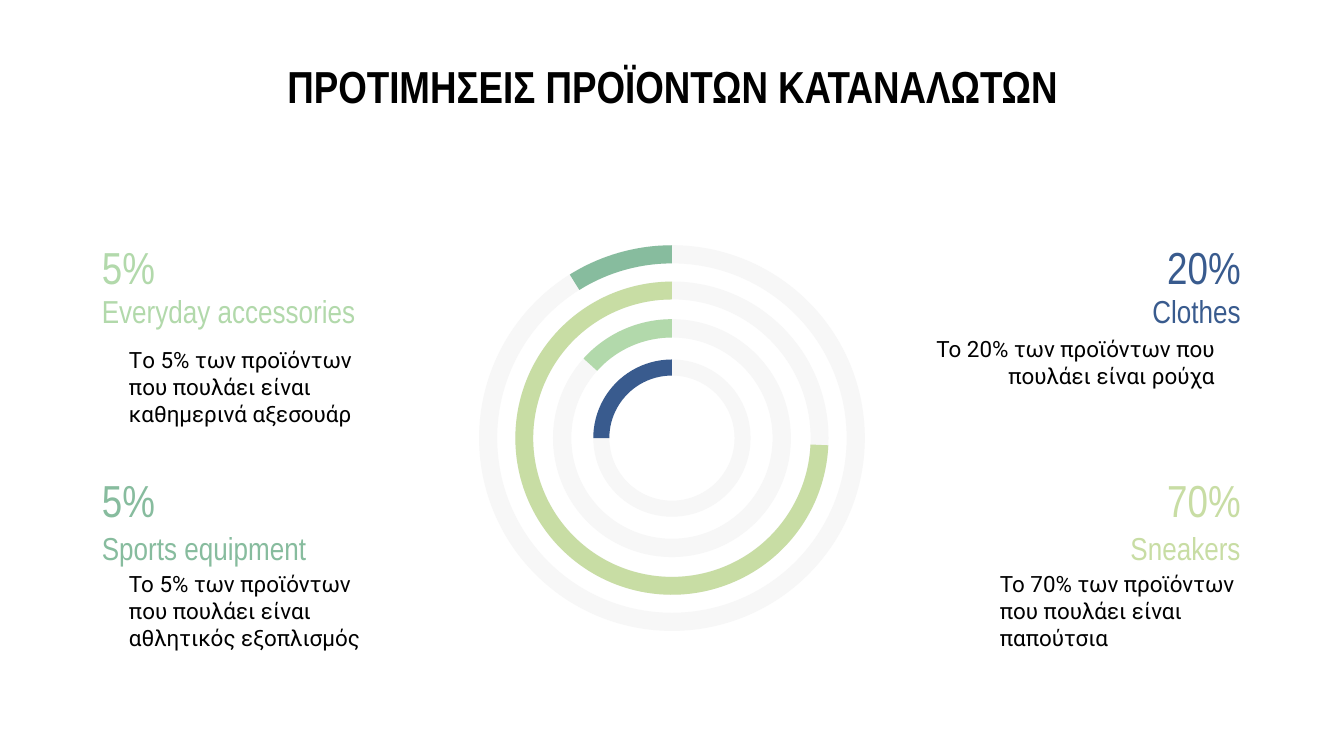
from pptx import Presentation
from pptx.dml.color import RGBColor
from pptx.enum.shapes import MSO_SHAPE as Shape
from pptx.enum.text import MSO_ANCHOR as Anchor, PP_ALIGN as Align
from pptx.util import Inches, Pt

BLACK = RGBColor(0x00, 0x00, 0x00)
TRACK = RGBColor(0xF7, 0xF7, 0xF7)
TEAL = RGBColor(0x87, 0xBC, 0x9E)
LIME = RGBColor(0xC8, 0xDD, 0xA4)
MINT = RGBColor(0xB2, 0xD9, 0xAB)
NAVY = RGBColor(0x39, 0x5B, 0x8E)
HEADING_FONT, BODY_FONT = "Arial Narrow", "Roboto"
CENTER_X, CENTER_Y = 5, 3.26


def write(box, text, size, color, font=HEADING_FONT, align=Align.LEFT,
          left_inset=0.1, right_inset=0.1, bold=False, anchor=Anchor.MIDDLE):
    frame = box.text_frame
    frame_format = {
        "word_wrap": True, "vertical_anchor": anchor,
        "margin_left": Inches(left_inset), "margin_right": Inches(right_inset),
        "margin_top": Inches(0.1), "margin_bottom": Inches(0.1),
    }
    for name, value in frame_format.items():
        setattr(frame, name, value)
    para = frame.paragraphs[0]
    para.alignment = align
    span = para.add_run()
    span.text = text
    for name, value in {"name": font, "size": Pt(size), "bold": bold}.items():
        setattr(span.font, name, value)
    span.font.color.rgb = color


def add_ring(kind, diameter, color):
    """Add a flat, borderless shape centred on the rings' common centre."""
    ring = page.shapes.add_shape(
        kind, Inches(CENTER_X - diameter / 2), Inches(CENTER_Y - diameter / 2),
        Inches(diameter), Inches(diameter))
    ring.shadow.inherit = False
    ring.fill.solid()
    ring.fill.fore_color.rgb = color
    ring.line.fill.background()
    return ring


deck = Presentation()
deck.slide_width = Inches(10)
deck.slide_height = Inches(10) * 9 // 16
page = deck.slides.add_slide(deck.slide_layouts[5])

title = page.shapes.title
title.left, title.top = Inches(0.2), Inches(0.34)
title.width, title.height = Inches(9.61), Inches(0.63)
write(title, "ΠΡΟΤΙΜΗΣΕΙΣ ΠΡΟΪΟΝΤΩΝ ΚΑΤΑΝΑΛΩΤΩΝ", 24, BLACK,
      align=Align.CENTER, bold=True, anchor=Anchor.TOP)

# Diameter, thickness ratio, rotation and sweep in degrees, colour
rings = [
    (2.87, 0.047, 296.5, 32, TEAL),
    (2.33, 0.057, 294.9, 267.4, LIME),
    (1.77, 0.077, 289.6, 48, MINT),
    (1.17, 0.102, 284.4, 90, NAVY),
]
for diameter, thickness, _, _, _ in rings:
    add_ring(Shape.DONUT, diameter, TRACK).adjustments[0] = thickness

# Every arc ends at twelve o'clock; an angle adjustment is 0.6 per degree
for diameter, thickness, rotation, sweep, color in rings:
    arc = add_ring(Shape.BLOCK_ARC, diameter, color)
    arc.rotation = rotation
    end = 270 - rotation + 360
    arc.adjustments[0] = (end - sweep) * 0.6
    arc.adjustments[1] = end * 0.6
    arc.adjustments[2] = thickness

# Left, top, height, left inset, alignment, text
descriptions = [
    (0.66, 2.42, 0.91, 0.3, Align.LEFT,
     "Tο 5% των προϊόντων που πουλάει είναι καθημερινά αξεσουάρ"),
    (0.66, 4.18, 0.73, 0.3, Align.LEFT,
     "Το 5% των προϊόντων που πουλάει είναι αθλητικός εξοπλισμός"),
    (6.77, 2.42, 0.55, 0.1, Align.RIGHT,
     "Το 20% των προϊόντων που πουλάει είναι ρούχα"),
    (7.14, 4.18, 0.73, 0.3, Align.LEFT,
     "To 70% των προϊόντων που πουλάει είναι παπούτσια"),
]
for left, top, height, inset, align, text in descriptions:
    box = page.shapes.add_textbox(
        Inches(left), Inches(top), Inches(2.57), Inches(height))
    write(box, text, 12, BLACK, BODY_FONT, align, inset, 0.3)

# Left, top of percent and name, alignment, colour, percent, name
headings = [
    (0.66, 1.75, 2.08, Align.LEFT, MINT, "5%", "Everyday accessories"),
    (0.66, 3.48, 3.84, Align.LEFT, TEAL, "5%", "Sports equipment"),
    (7.23, 1.75, 2.08, Align.RIGHT, NAVY, "20%", "Clothes"),
    (7.23, 3.48, 3.84, Align.RIGHT, LIME, "70%", "Sneakers"),
]
for left, percent_top, name_top, align, color, percent, name in headings:
    for top, text, size in ((percent_top, percent, 24), (name_top, name, 17)):
        box = page.shapes.add_textbox(
            Inches(left), Inches(top), Inches(2.1), Inches(0.47))
        write(box, text, size, color, align=align)

deck.save("out.pptx")
